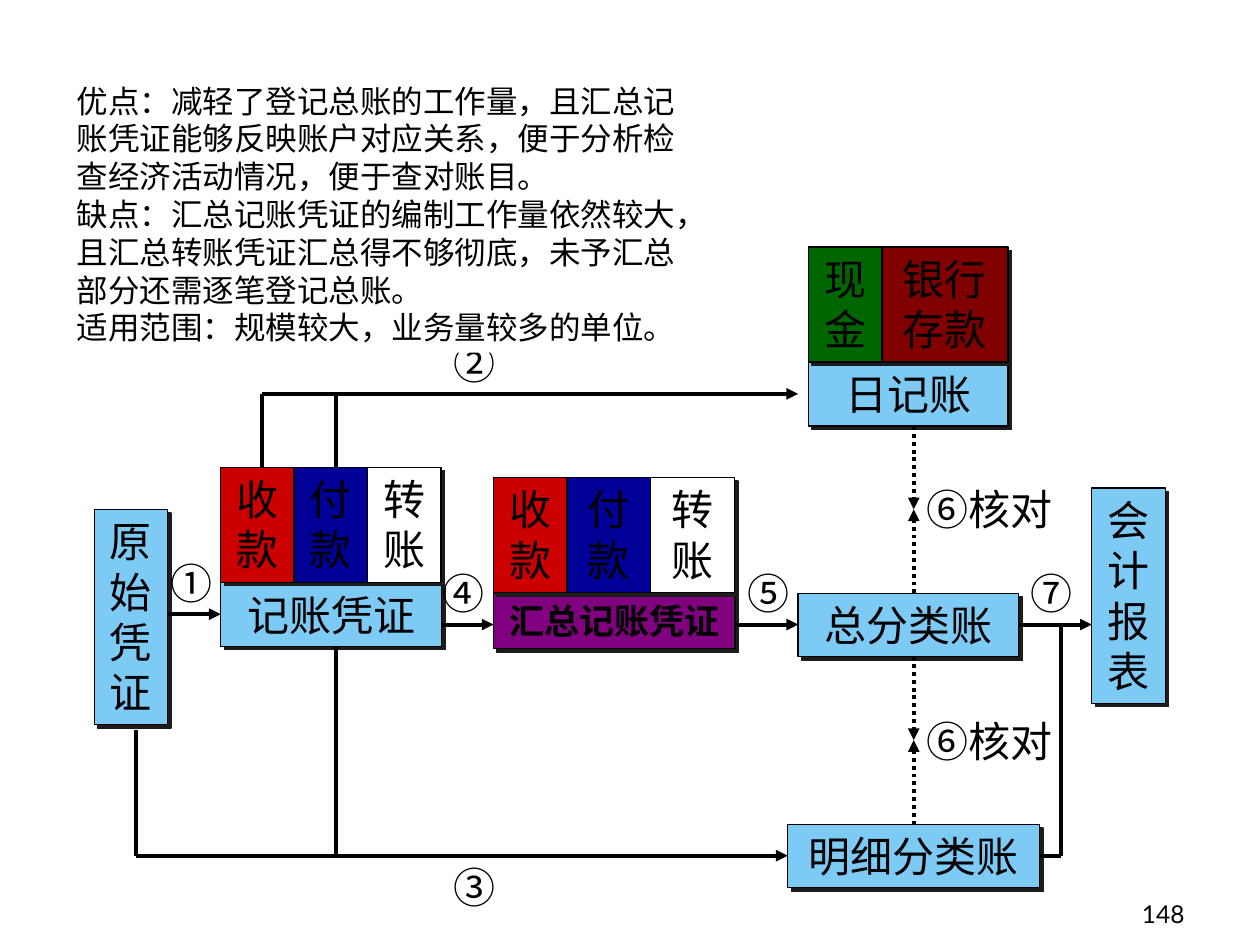
from dataclasses import dataclass

from lxml import etree
from pptx import Presentation
from pptx.dml.color import RGBColor
from pptx.enum.dml import MSO_LINE
from pptx.enum.shapes import MSO_CONNECTOR, MSO_SHAPE
from pptx.enum.text import MSO_ANCHOR, MSO_AUTO_SIZE, PP_ALIGN
from pptx.oxml.ns import qn
from pptx.util import Cm, Pt

BLACK = RGBColor(0x00, 0x00, 0x00)
WHITE = RGBColor(0xFF, 0xFF, 0xFF)
SKY = RGBColor(0x7D, 0xCA, 0xF5)
RED = RGBColor(0xCC, 0x00, 0x00)
NAVY = RGBColor(0x00, 0x00, 0x99)
GREEN = RGBColor(0x00, 0x66, 0x00)
MAROON = RGBColor(0x80, 0x00, 0x00)
PURPLE = RGBColor(0x80, 0x00, 0x80)
SHADOW_HEX = "1C1C1C"

SERIF, SANS, CJK = "Times New Roman", "Lato", "Noto Sans CJK SC"
LEFT, CENTER, RIGHT = PP_ALIGN.LEFT, PP_ALIGN.CENTER, PP_ALIGN.RIGHT
JUSTIFY = PP_ALIGN.JUSTIFY
TOP, BOTTOM = MSO_ANCHOR.TOP, MSO_ANCHOR.BOTTOM
FIT_SHAPE = MSO_AUTO_SIZE.SHAPE_TO_FIT_TEXT
RECTANGLE, STRAIGHT = MSO_SHAPE.RECTANGLE, MSO_CONNECTOR.STRAIGHT
DOTTED = MSO_LINE.ROUND_DOT

NARROW = 1.48
BAR_HEIGHT = 1.28
CELL_HEIGHT = 2.32
TALL = 4.34


@dataclass
class Block:
    """A shadowed box of the flow chart, in centimetres."""
    text: str
    left: float
    top: float
    width: float
    height: float
    fill: RGBColor = SKY
    size: int = 24
    bold: bool = False


@dataclass
class Link:
    """A straight line between two points, in centimetres."""
    x1: float
    y1: float
    x2: float
    y2: float
    arrow: bool = False
    dotted: bool = False


@dataclass
class Label:
    text: str
    left: float
    top: float
    width: float = 1.27


BLOCKS = [
    Block("记账凭证", 4.45, 11.75, 4.45, BAR_HEIGHT),
    Block("收款", 4.45, 9.42, NARROW, CELL_HEIGHT, RED),
    Block("付款", 5.93, 9.42, NARROW, CELL_HEIGHT, NAVY),
    Block("转账", 7.41, 9.42, NARROW, CELL_HEIGHT, WHITE),
    Block("日记账", 16.3, 7.31, 4.02, BAR_HEIGHT),
    Block("现金", 16.3, 4.98, NARROW, CELL_HEIGHT, GREEN),
    Block("银行存款", 17.78, 4.98, 2.54, CELL_HEIGHT, MAROON),
    Block("明细分类账", 15.88, 16.62, 5.08, BAR_HEIGHT),
    Block("总分类账", 16.09, 11.96, 4.45, BAR_HEIGHT),
    Block("会计报表", 22.01, 9.84, NARROW, TALL),
    Block("原始凭证", 1.9, 10.27, NARROW, TALL),
    Block("汇总记账凭证", 9.95, 11.97, 4.87, 1.11, PURPLE, 20, True),
]

SUMMARY_CELLS = [
    Block("收款", 9.95, 9.63, NARROW, CELL_HEIGHT, RED),
    Block("付款", 11.43, 9.63, 1.69, CELL_HEIGHT, NAVY),
    Block("转账", 13.12, 9.63, 1.69, CELL_HEIGHT, WHITE),
]

LINKS = [
    Link(3.39, 12.38, 4.45, 12.38, arrow=True),
    Link(5.29, 7.94, 16.09, 7.94, arrow=True),
    Link(5.29, 7.94, 5.29, 9.42),
    Link(6.77, 7.94, 6.77, 9.42),
    Link(2.75, 17.25, 15.88, 17.25, arrow=True),
    Link(8.89, 12.59, 9.95, 12.59, arrow=True),
    Link(14.82, 12.59, 16.09, 12.59, arrow=True),
    Link(18.42, 8.59, 18.42, 10.27, arrow=True, dotted=True),
    Link(18.42, 11.96, 18.42, 10.27, arrow=True, dotted=True),
    Link(18.42, 13.23, 18.42, 14.92, arrow=True, dotted=True),
    Link(18.42, 16.62, 18.42, 14.92, arrow=True, dotted=True),
    Link(6.77, 13.02, 6.77, 17.25),
    Link(2.75, 14.71, 2.75, 17.25),
    Link(20.53, 12.59, 22.01, 12.59, arrow=True),
    Link(20.96, 17.25, 21.38, 17.25),
    Link(21.38, 17.25, 21.38, 12.59),
]

LABELS = [
    Label("①", 3.18, 11.12),
    Label("②", 8.89, 6.67),
    Label("③", 8.89, 17.25),
    Label("④", 8.68, 11.32),
    Label("⑤", 14.82, 11.32),
    Label("⑥核对", 18.42, 9.63, 3.18),
    Label("⑥核对", 18.42, 14.29, 3.18),
    Label("⑦", 20.53, 11.32),
]

COMMENTS = [
    "优点：减轻了登记总账的工作量，且汇总记账凭证能够反映账户对应关系，便于分析检查经济活动情况，便于查对账目。",
    "缺点：汇总记账凭证的编制工作量依然较大，且汇总转账凭证汇总得不够彻底，未予汇总部分还需逐笔登记总账。",
    "适用范围：规模较大，业务量较多的单位。",
]


def write(shape, texts: list[str], font: str, size: int, align, anchor=TOP, bold: bool = False) -> None:
    frame = shape.text_frame
    frame.word_wrap = True
    frame.vertical_anchor = anchor
    for index, text in enumerate(texts):
        para = frame.add_paragraph() if index else frame.paragraphs[0]
        para.alignment = align
        span = para.add_run()
        span.text = text
        span.font.name = font
        span.font.size = Pt(size)
        span.font.bold = bold
        span.font.color.rgb = BLACK


def add_rectangle(page, left: float, top: float, width: float, height: float, fill: RGBColor):
    box = page.shapes.add_shape(RECTANGLE, Cm(left), Cm(top), Cm(width), Cm(height))
    box.shadow.inherit = False
    box.fill.solid()
    box.fill.fore_color.rgb = fill
    box.line.fill.background()
    return box


def add_block(page, block: Block) -> None:
    box = add_rectangle(page, block.left, block.top, block.width, block.height, block.fill)
    box.line.color.rgb = BLACK
    box.line.width = Pt(0.75)
    effects = box._element.spPr.find(qn("a:effectLst"))
    shadow = etree.SubElement(effects, qn("a:outerShdw"), dist=str(Pt(2.8)), dir="2700000", algn="ctr", rotWithShape="0")
    etree.SubElement(shadow, qn("a:srgbClr"), val=SHADOW_HEX)
    write(box, [block.text], SERIF, block.size, CENTER, bold=block.bold)
    box.text_frame.auto_size = FIT_SHAPE


def add_link(page, link: Link) -> None:
    line = page.shapes.add_connector(STRAIGHT, Cm(link.x1), Cm(link.y1), Cm(link.x2), Cm(link.y2))
    line.line.color.rgb = BLACK
    line.line.width = Pt(2.25)
    if link.dotted:
        line.line.dash_style = DOTTED
    properties = line._element.spPr
    if link.arrow:
        etree.SubElement(properties.find(qn("a:ln")), qn("a:tailEnd"), type="triangle")
    etree.SubElement(properties, qn("a:effectLst"))


def add_label(page, label: Label) -> None:
    box = page.shapes.add_textbox(Cm(label.left), Cm(label.top), Cm(label.width), Cm(1.27))
    write(box, [label.text], CJK, 24, JUSTIFY)


def main() -> None:
    deck = Presentation()
    deck.slide_width, deck.slide_height = Cm(25.4), Cm(19.05)
    page = deck.slides.add_slide(deck.slide_layouts[6])

    number = page.shapes.add_textbox(Cm(18.85), Cm(17.58), Cm(5.28), Cm(1.27))
    write(number, ["148"], SANS, 14, RIGHT, BOTTOM)
    for block in BLOCKS:
        add_block(page, block)
    for link in LINKS:
        add_link(page, link)
    for block in SUMMARY_CELLS:
        add_block(page, block)
    for label in LABELS:
        add_label(page, label)
    comments = add_rectangle(page, 1.3, 1.52, 12.7, 5.59, WHITE)
    write(comments, COMMENTS, SANS, 18, LEFT)
    comments.text_frame.auto_size = FIT_SHAPE

    deck.save("out.pptx")


if __name__ == "__main__":
    main()
